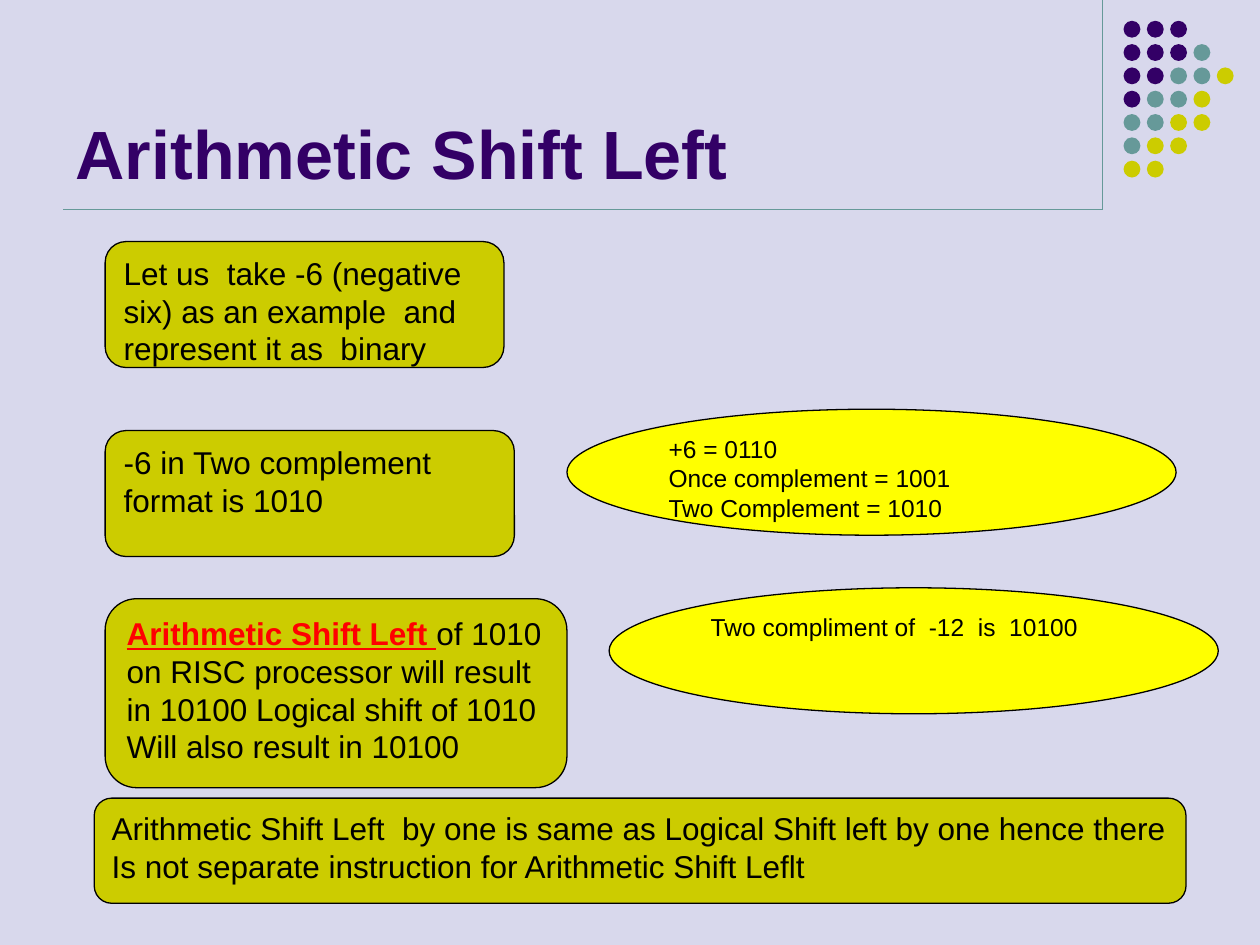
"""Build a slide that explains the arithmetic shift left with minus six."""
from lxml import etree
from pptx import Presentation, util as u
from pptx.dml.color import RGBColor
from pptx.enum import shapes, text
from pptx.oxml.ns import qn

COLORS = {"back": "D8D8EC", "purple": "330066", "teal": "669999", "olive": "CCCC00",
          "yellow": "FFFF00", "red": "FF0000", "black": "000000"}
BOX, OVAL = shapes.MSO_SHAPE.ROUNDED_RECTANGLE, shapes.MSO_SHAPE.OVAL


def add_run(p, words, color="black", **fmt):
    r = p.add_run()
    r.text = words
    for name, value in {"name": "Arial", **fmt}.items():
        setattr(r.font, name, value)
    r.font.color.rgb = RGBColor.from_string(COLORS[color])


def add_shape(kind, at, fill):
    sp = s.shapes.add_shape(kind, *map(u.Cm, at))
    sp.shadow.inherit = False
    sp.fill.solid()
    sp.fill.fore_color.rgb = RGBColor.from_string(COLORS[fill])
    sp.line.fill.background()
    return sp


prs = Presentation()
prs.slide_width, prs.slide_height = u.Cm(25.4), u.Cm(19.05)
s = prs.slides.add_slide(prs.slide_layouts[5])
s.background.fill.solid()
s.background.fill.fore_color.rgb = RGBColor.from_string(COLORS["back"])

title = s.shapes.title
for name, value in {"left": 1.27, "top": 2.12, "width": 20.96, "height": 1.78}.items():
    setattr(title, name, u.Cm(value))
tf = title.text_frame
for name, value in {"vertical_anchor": text.MSO_ANCHOR.BOTTOM, "margin_bottom": 0,
                    "auto_size": text.MSO_AUTO_SIZE.NONE, "word_wrap": True}.items():
    setattr(tf, name, value)
tf.paragraphs[0].alignment = text.PP_ALIGN.LEFT
add_run(tf.paragraphs[0], "Arithmetic Shift Left", "purple", size=u.Pt(39), bold=True)

for ends in [(22.23, 0, 22.23, 4.23), (1.27, 4.23, 22.23, 4.23)]:
    line = s.shapes.add_connector(shapes.MSO_CONNECTOR.STRAIGHT, *map(u.Cm, ends))
    line.line.color.rgb = RGBColor.from_string(COLORS["teal"])
    line.line.width = u.Pt(0.75)
    etree.SubElement(line._element.spPr, qn("a:effectLst"))

dot_names = {"P": "purple", "T": "teal", "O": "olive"}
for row, dots in enumerate(["PPP", "PPPT", "PPTTO", "PTTO", "TTOO", "TOO", "OO"]):
    for col, dot in enumerate(dots):
        add_shape(OVAL, (22.65 + 0.47 * col, 0.42 + 0.47 * row, 0.34, 0.34), dot_names[dot])

notes = [
    (BOX, (2.12, 4.87, 8.04, 2.54),
     ["Let us  take -6 (negative six) as an example  and represent it as  binary"]),
    (BOX, (2.12, 8.68, 8.25, 2.54), ["-6 in Two complement format is 1010"]),
    (OVAL, (11.43, 8.25, 12.28, 2.54),
     ["+6 = 0110", "Once complement = 1001", "Two Complement = 1010"]),
    (BOX, (2.12, 12.07, 9.31, 3.81),
     ["Arithmetic Shift Left |of 1010 on RISC processor will result in 10100 Logical shift of 1010",
      "Will also result in 10100"]),
    (OVAL, (12.28, 11.85, 12.28, 2.54), ["Two compliment of  -12  is  10100"]),
    (BOX, (1.9, 16.09, 22.01, 2.12),
     ["Arithmetic Shift Left  by one is same as Logical Shift left by one hence there",
      "Is not separate instruction for Arithmetic Shift Leflt"]),
]
for kind, at, lines in notes:
    sp = add_shape(kind, at, "olive" if kind == BOX else "yellow")
    sp.line.color.rgb = RGBColor.from_string(COLORS["black"])
    sp.line.width = u.Pt(0.75)
    tf = sp.text_frame
    tf.word_wrap = True
    tf.vertical_anchor = text.MSO_ANCHOR.TOP
    size = u.Pt(18 if kind == BOX else 14)
    for i, words in enumerate(lines):
        p = tf.add_paragraph() if i else tf.paragraphs[0]
        p.alignment = text.PP_ALIGN.LEFT
        key, bar, rest = words.rpartition("|")
        if key:
            add_run(p, key, "red", size=size, bold=True, underline=True)
        add_run(p, rest, size=size)

prs.save("out.pptx")
